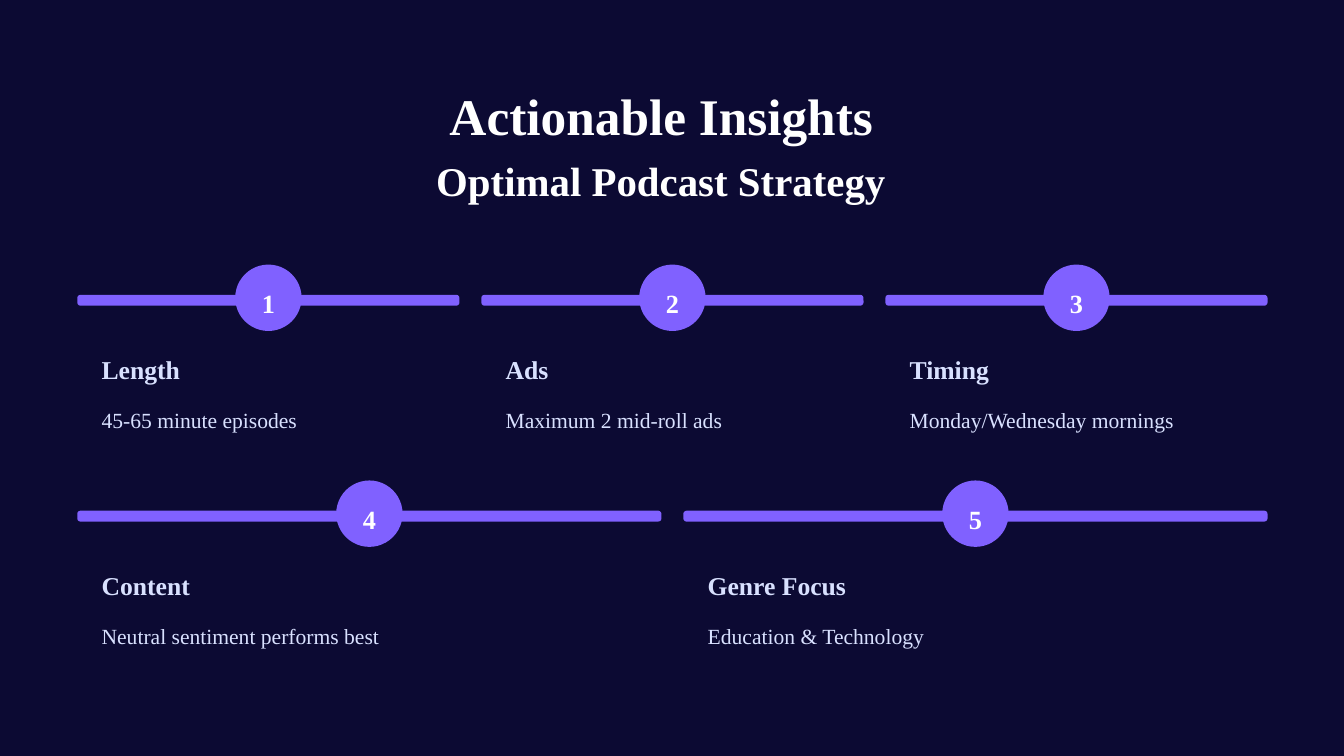
from pptx import Presentation
from pptx.dml.color import RGBColor
from pptx.enum.shapes import MSO_SHAPE as Preset
from pptx.enum.text import MSO_ANCHOR as Anchor, MSO_AUTO_SIZE as AutoSize, PP_ALIGN as Align
from pptx.util import Inches, Pt

NAVY, VIOLET, WHITE, LAVENDER = "0C0A33", "8061FF", "FFFFFF", "D9E1FF"


def color(hex_code):
    return RGBColor.from_string(hex_code)


class InsightSlide:
    font = "Times New Roman"
    margin, content_width, gutter = 0.92, 14.17, 0.26
    first_row, row_pitch = 3.15, 2.57
    badge_size, bar_height, indent = 0.79, 0.13, 0.29

    def __init__(self, deck):
        self.slide = deck.slides.add_slide(deck.slide_layouts[0])
        background = self.slide.background.fill
        background.solid()
        background.fore_color.rgb = color(NAVY)

    def column(self, index, count):
        width = (self.content_width - self.gutter * (count - 1)) / count
        return self.margin + index * (width + self.gutter), width

    def row(self, index):
        return self.first_row + index * self.row_pitch

    def set_words(self, holder, words, size, line, ink=WHITE, bold=True,
                  align=Align.CENTER, anchor=Anchor.TOP):
        frame = holder.text_frame
        frame.text = words
        frame.auto_size = AutoSize.NONE
        frame.word_wrap = False
        frame.vertical_anchor = anchor
        frame.margin_left = frame.margin_right = 0
        frame.margin_top = frame.margin_bottom = 0
        paragraph = frame.paragraphs[0]
        paragraph.alignment = align
        paragraph.line_spacing = Pt(line)
        paragraph.space_before = Pt(0)
        font = paragraph.runs[0].font
        font.name, font.size, font.bold = self.font, Pt(size), bold
        font.color.rgb = color(ink)

    def heading(self, placeholder, words, box, size, line):
        placeholder.left, placeholder.top, placeholder.width, placeholder.height = map(Inches, box)
        self.set_words(placeholder, words, size, line)

    def block(self, preset, left, top, width, height):
        block = self.slide.shapes.add_shape(preset, *map(Inches, (left, top, width, height)))
        block.shadow.inherit = False
        block.fill.solid()
        block.fill.fore_color.rgb = color(VIOLET)
        block.line.fill.background()
        return block

    def label(self, words, left, top, width, height, size, line, bold):
        label = self.slide.shapes.add_textbox(*map(Inches, (left, top, width, height)))
        self.set_words(label, words, size, line, LAVENDER, bold, Align.LEFT)

    def insight(self, number, topic, advice, row, index, count):
        left, width = self.column(index, count)
        top = self.row(row)
        bar = self.block(Preset.ROUNDED_RECTANGLE, left, top + 0.36, width, self.bar_height)
        bar.adjustments[0] = 0.295
        badge = self.block(Preset.OVAL, left + (width - self.badge_size) / 2, top,
                           self.badge_size, self.badge_size)
        self.set_words(badge, str(number), 22.5, 36, anchor=Anchor.MIDDLE)
        text_left, text_width = left + self.indent, width - 2 * self.indent
        self.label(topic, text_left, top + 1.05, text_width, 0.38, 22, 27.5, True)
        self.label(advice, text_left, top + 1.59, text_width, 0.42, 18.5, 30, False)


def main():
    deck = Presentation()
    deck.slide_width, deck.slide_height = Inches(16), Inches(9)
    page = InsightSlide(deck)
    title, subtitle = page.slide.placeholders
    page.heading(title, "Actionable Insights", (4.66, 0.97, 6.43, 0.77), 44, 55)
    page.heading(subtitle, "Optimal Podcast Strategy", (4.36, 1.83, 7.02, 0.62), 35, 44)

    insight_rows = [
        [("Length", "45-65 minute episodes"),
         ("Ads", "Maximum 2 mid-roll ads"),
         ("Timing", "Monday/Wednesday mornings")],
        [("Content", "Neutral sentiment performs best"),
         ("Genre Focus", "Education & Technology")],
    ]
    number = 0
    for row, insights in enumerate(insight_rows):
        for index, (topic, advice) in enumerate(insights):
            number += 1
            page.insight(number, topic, advice, row, index, len(insights))
    deck.save("out.pptx")


if __name__ == "__main__":
    main()
